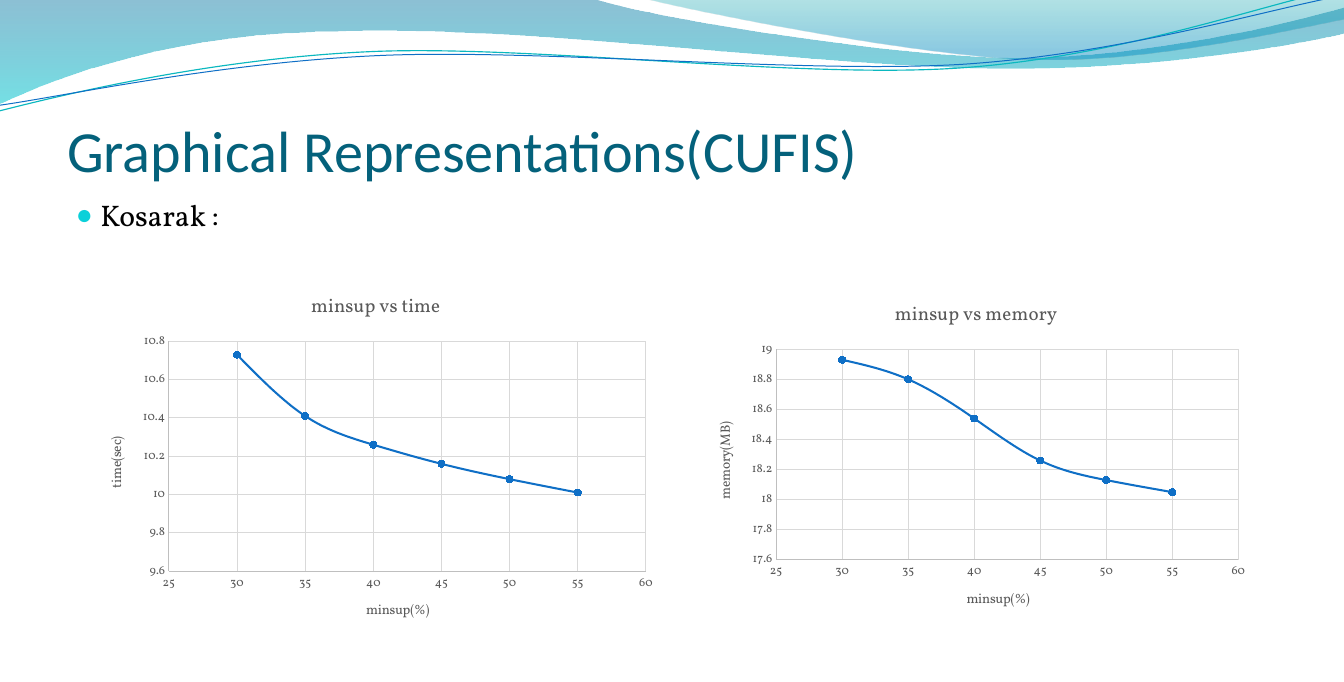
from lxml.etree import SubElement
from pptx import Presentation
from pptx.chart.data import XyChartData
from pptx.dml.color import RGBColor
from pptx.enum.chart import XL_CHART_TYPE, XL_MARKER_STYLE, XL_TICK_MARK
from pptx.enum.text import MSO_ANCHOR, MSO_AUTO_SIZE, PP_ALIGN
from pptx.oxml.ns import qn
from pptx.util import Inches, Pt

WIDTH, HEIGHT = 13.8, 7
MARGIN, CONTENT_WIDTH = 0.69, 12.42
FIRST_WAVE_ID = 101
HEADING_FONT, BODY_FONT = "Calibri", "Vollkorn"
COLORS = {
    "title": "04617B", "text": "000000", "bullet": "0BD0D9",
    "series": "0F6FC6", "chart text": "595959", "axis": "BFBFBF",
    "grid": "D9D9D9", "teal line": "0AB8BF",
    "wave top": "0074A1", "wave bottom": "00C6CF",
    "crest top": "00A1A9", "crest bottom": "008BBF",
}
MINSUP = [30, 35, 40, 45, 50, 55]

# Each path is a start point, then points (x, y) or Bezier curves of six numbers.
WAVE = [(0, 0), (6.08, -0.01), (6.56, 0.16, 9.16, 0.59, 10.47, 0.59),
        (11.77, 0.59, 13.23, 0.24, 13.8, 0.08), (13.81, 0.34),
        (13.57, 0.41, 12, 0.71, 10.29, 0.7), (8.58, 0.7, 5.27, 0.26, 3.55, 0.32),
        (1.78, 0.33, 0.63, 0.77, -0.01, 1.06), (0, 0)]
CREST = [(6.61, -0.01), (7.03, 0.1, 9.41, 0.58, 10.61, 0.61),
         (11.81, 0.64, 13.27, 0.3, 13.8, 0.2), (13.8, 0), (6.61, -0.01)]
TEAL_LINE = [(-0.01, 1.14), (0.66, 0.97, 2.18, 0.6, 3.82, 0.53),
             (5.46, 0.46, 8.17, 0.81, 9.83, 0.7), (11.49, 0.59, 12.95, 0.05, 13.78, -0.12)]
BLUE_LINE = [(0, 1.08), (0.65, 0.99, 2.26, 0.64, 3.91, 0.57),
             (5.56, 0.5, 8.24, 0.76, 9.89, 0.66), (11.54, 0.55, 12.99, 0.1, 13.81, -0.05)]


def color(name):
    return RGBColor.from_string(COLORS[name])


def style_font(font, name, size, color_name):
    font.name, font.size, font.bold = name, Pt(size), False
    font.color.rgb = color(color_name)


def add_path(slide, path, close):
    """Draw a freeform through all path points, then join them into curves."""
    points = [(Inches(x), Inches(y)) for segment in path
              for x, y in zip(segment[::2], segment[1::2])]
    builder = slide.shapes.build_freeform(*points[0], scale=1.0)
    builder.add_line_segments(points[1:], close=close)
    shape = builder.convert_to_shape()
    shape.shadow.inherit = False
    lines = iter(list(shape.element.spPr.iter(qn("a:lnTo"))))
    for segment in path[1:]:
        line = next(lines)
        if len(segment) == 6:
            line.addprevious(curve := line.makeelement(qn("a:cubicBezTo")))
            for part in (line, next(lines), next(lines)):
                curve.append(part[0])
                part.getparent().remove(part)
    return shape


def add_wave(slide, path, stops):
    """Fill a closed path downwards; stops are (position, colour, opacity in percent)."""
    shape = add_path(slide, path, True)
    shape.line.fill.background()
    shape.fill.gradient()
    shape.fill.gradient_angle = 270
    for stop, (position, color_name, _) in zip(shape.fill.gradient_stops, stops):
        stop.position = position
        stop.color.rgb = color(color_name)
    for element, (_, _, opacity) in zip(shape.element.spPr.iter(qn("a:srgbClr")), stops):
        SubElement(element, qn("a:alpha"), val=str(opacity * 1000))
    return shape


def add_wave_line(slide, path, color_name, width):
    shape = add_path(slide, path, False)
    shape.fill.background()
    shape.line.color.rgb = color(color_name)
    shape.line.width = Pt(width)
    return shape


def add_master_waves(slide, master):
    """Build the waves on the slide and move them to the back of the master."""
    waves = [
        add_wave(slide, WAVE, [(0, "wave top", 45), (1, "wave bottom", 55)]),
        add_wave(slide, CREST, [(0, "crest top", 30), (0.8, "crest bottom", 45)]),
        add_wave_line(slide, TEAL_LINE, "teal line", 0.85),
        add_wave_line(slide, BLUE_LINE, "series", 0.75),
    ]
    front = master.shapes[0].element
    for shape_id, wave in enumerate(waves, FIRST_WAVE_ID):
        wave.element.nvSpPr.cNvPr.set("id", str(shape_id))
        front.addprevious(wave.element)


def place_text(shape, box, text, side_inset, anchor):
    shape.left, shape.top, shape.width, shape.height = map(Inches, box)
    frame = shape.text_frame
    frame.word_wrap, frame.auto_size = True, MSO_AUTO_SIZE.NONE
    frame.vertical_anchor = anchor
    frame.margin_left = frame.margin_right = Inches(side_inset)
    frame.margin_top = Inches(0.04)
    frame.margin_bottom = Inches(side_inset / 2)
    frame.text = text
    paragraph = frame.paragraphs[0]
    paragraph.alignment = PP_ALIGN.LEFT
    paragraph.space_before = Pt(0)
    return paragraph


def add_title(slide, box):
    paragraph = place_text(slide.shapes.title, box, "Graphical Representations(CUFIS)",
                           0, MSO_ANCHOR.BOTTOM)
    style_font(paragraph.font, HEADING_FONT, 43, "title")


def add_bullet_list(slide, box):
    paragraph = place_text(slide.placeholders[1], box, "Kosarak :", 0.08, MSO_ANCHOR.TOP)
    properties = paragraph._p.get_or_add_pPr()
    properties.set("marL", str(Inches(0.26)))
    properties.set("indent", str(-Inches(0.25)))
    bullet_color = SubElement(properties, qn("a:buClr"))
    SubElement(bullet_color, qn("a:srgbClr"), val=COLORS["bullet"])
    SubElement(properties, qn("a:buSzPct"), val="95000")
    SubElement(properties, qn("a:buChar"), char="●")
    style_font(paragraph.font, BODY_FONT, 22, "text")


def set_title(text_frame, text, size):
    text_frame.text = text
    style_font(text_frame.paragraphs[0].font, BODY_FONT, size, "chart text")


def style_axis(axis, title, low, high, step):
    axis.minimum_scale, axis.maximum_scale, axis.major_unit = low, high, step
    axis.major_tick_mark = axis.minor_tick_mark = XL_TICK_MARK.NONE
    axis.has_major_gridlines = True
    for line, color_name in ((axis.format.line, "axis"),
                             (axis.major_gridlines.format.line, "grid")):
        line.color.rgb = color(color_name)
        line.width = Pt(0.75)
    axis.tick_labels.number_format = "General"
    axis.tick_labels.number_format_is_linked = False
    style_font(axis.tick_labels.font, BODY_FONT, 9, "chart text")
    set_title(axis.axis_title.text_frame, title, 10)


def style_series(series):
    for smooth in series._element.findall(qn("c:smooth")):
        smooth.set("val", "1")
    series.format.line.color.rgb = color("series")
    series.format.line.width = Pt(1.5)
    marker = series.marker
    marker.style, marker.size = XL_MARKER_STYLE.CIRCLE, 5
    marker.format.fill.solid()
    marker.format.fill.fore_color.rgb = color("series")
    marker.format.line.color.rgb = color("series")


def add_minsup_chart(slide, box, title, value_title, values, value_scale):
    data = XyChartData()
    points = data.add_series("Series 1")
    for minsup, value in zip(MINSUP, values):
        points.add_data_point(minsup, value)
    chart = slide.shapes.add_chart(XL_CHART_TYPE.XY_SCATTER_SMOOTH,
                                   *map(Inches, box), data).chart
    style_font(chart.font, BODY_FONT, 10, "text")
    chart.has_legend = False
    set_title(chart.chart_title.text_frame, title, 14)
    style_axis(chart.category_axis, "minsup(%)", 25, 60, 5)
    style_axis(chart.value_axis, value_title, *value_scale)
    chart.plots[0].vary_by_categories = False
    style_series(chart.plots[0].series[0])


def main():
    presentation = Presentation()
    presentation.slide_width, presentation.slide_height = Inches(WIDTH), Inches(HEIGHT)
    slide = presentation.slides.add_slide(presentation.slide_layouts[1])
    add_master_waves(slide, presentation.slide_master)
    add_title(slide, (MARGIN, 0.72, CONTENT_WIDTH, 1.17))
    add_bullet_list(slide, (MARGIN, 1.98, CONTENT_WIDTH, 4.48))
    add_minsup_chart(slide, (0.9, 2.83, 5.92, 3.75), "minsup vs time", "time(sec)",
                     [10.73, 10.41, 10.26, 10.16, 10.08, 10.01], (9.6, 10.8, 0.2))
    add_minsup_chart(slide, (7.15, 2.92, 5.75, 3.54), "minsup vs memory", "memory(MB)",
                     [18.93, 18.8, 18.54, 18.26, 18.13, 18.05], (17.6, 19, 0.2))
    presentation.save("out.pptx")


if __name__ == "__main__":
    main()
